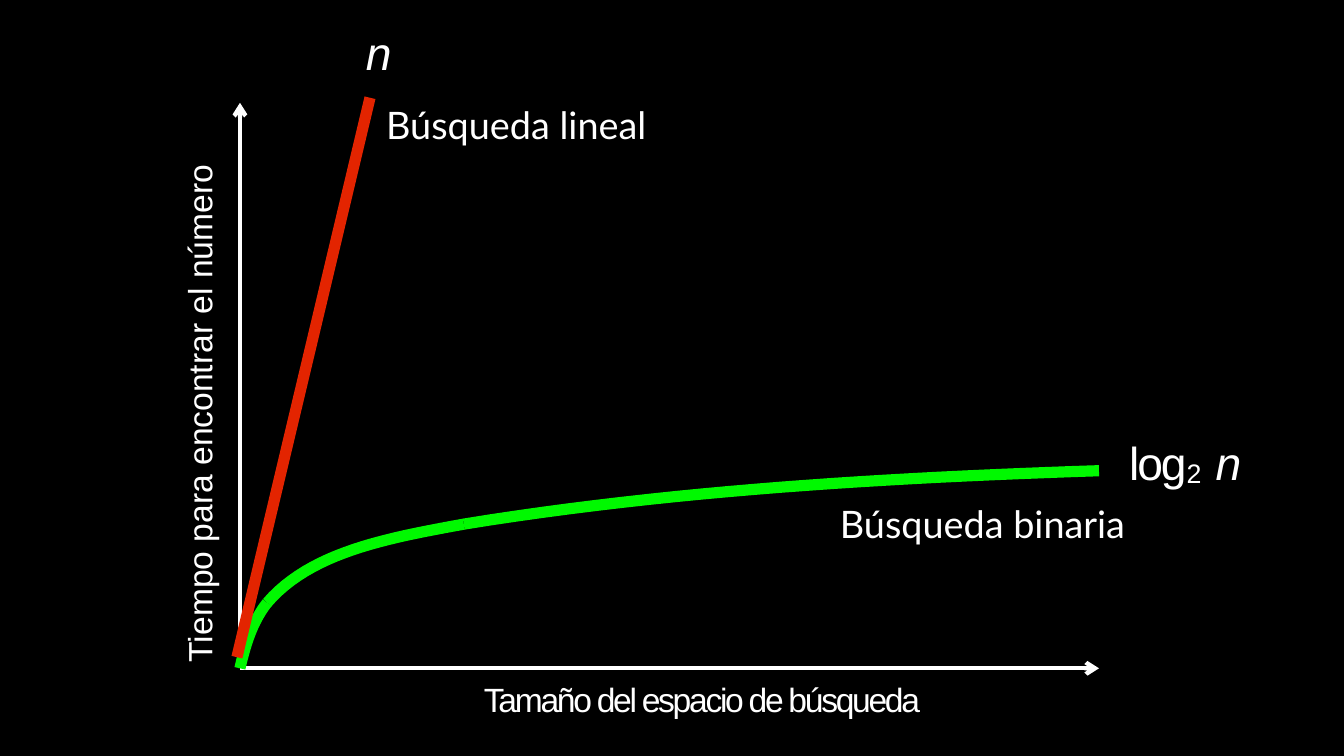
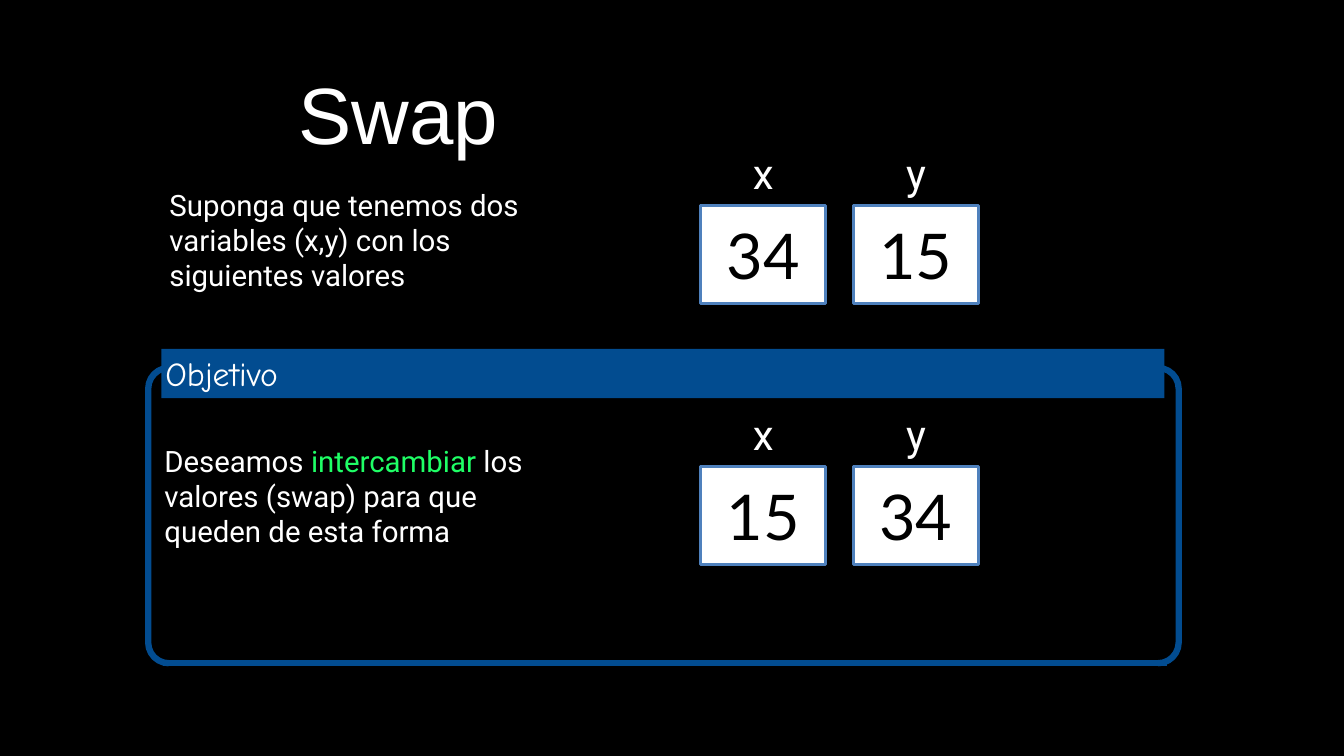
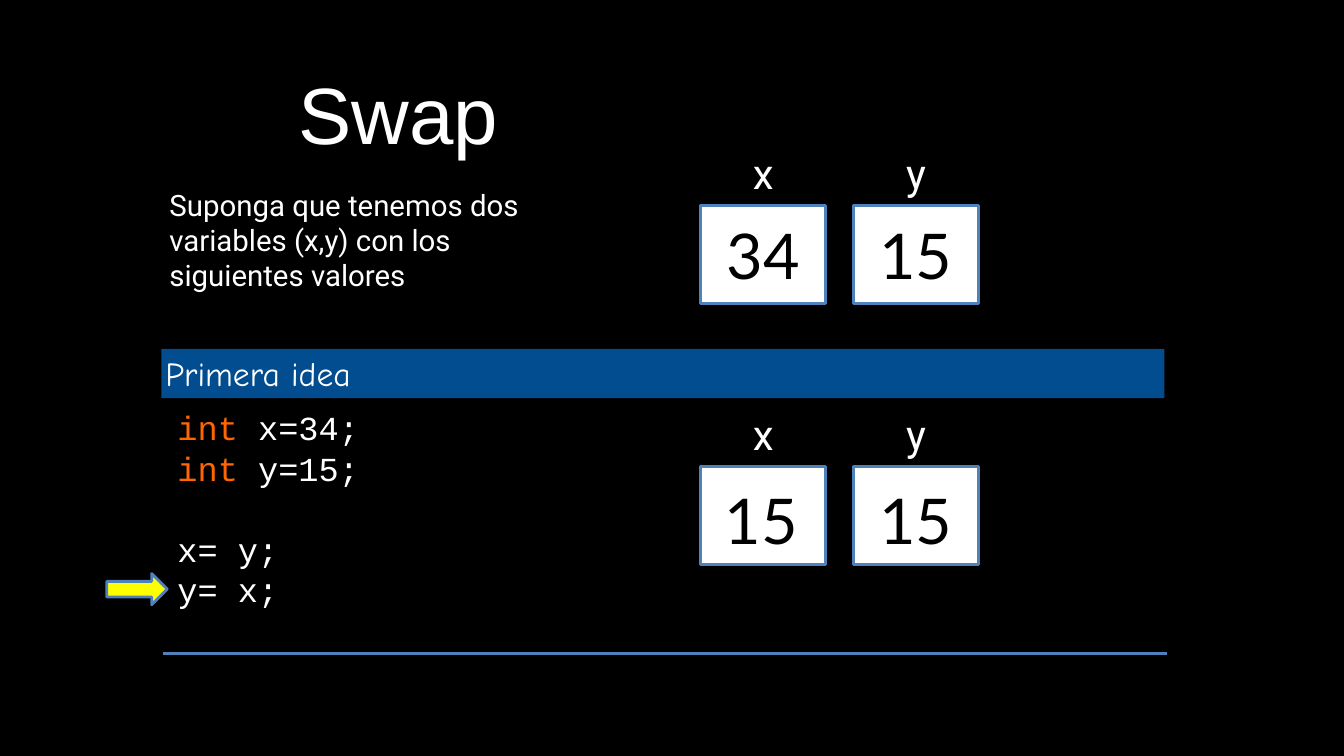
from pptx import Presentation
from pptx.dml.color import RGBColor
from pptx.enum.shapes import MSO_CONNECTOR, MSO_SHAPE
from pptx.enum.text import MSO_ANCHOR, MSO_AUTO_SIZE, PP_ALIGN
from pptx.oxml.ns import qn
from pptx.util import Inches, Pt

STRAIGHT = MSO_CONNECTOR.STRAIGHT
RECTANGLE, ARROW = MSO_SHAPE.RECTANGLE, MSO_SHAPE.RIGHT_ARROW
BRACKETS = MSO_SHAPE.DOUBLE_BRACKET
TOP, MIDDLE = MSO_ANCHOR.TOP, MSO_ANCHOR.MIDDLE
LEFT, CENTER = PP_ALIGN.LEFT, PP_ALIGN.CENTER
TITLE_ONLY, BLANK = 5, 6

BLACK, WHITE = "000000", "FFFFFF"
NAVY, BLUE = "024C90", "4F81BD"
RED, GREEN, YELLOW = "E32400", "00F900", "FFFF00"
HIGHLIGHT, KEYWORD = "1FFF66", "FF6600"

# Grid of square cells, 75 rows to the slide height
ROWS = 75
HEIGHT = Inches(7.5)
WIDTH = Inches(13.33)
CELL = HEIGHT / ROWS

VARIABLE_COLUMN, VARIABLE_STEP = 69.5, 15.15
VARIABLE_WIDTH, VARIABLE_HEIGHT = 12.4, 9.7
START_ROW, RESULT_ROW = 20.4, 46.3
CODE_LEADING = 29


def cells(*counts):
    return [round(count * CELL) for count in counts]


def color(hex_string):
    return RGBColor.from_string(hex_string)


def style_line(line, hex_string, width):
    line.color.rgb = color(hex_string)
    line.width = Pt(width)


def add_span(para, text, hex_string=None, italic=None, tracking=None, baseline=None):
    """Add a run; tracking is in points, baseline in percent."""
    span = para.add_run()
    span.text = text
    if hex_string:
        span.font.color.rgb = color(hex_string)
    if italic:
        span.font.italic = True
    properties = span._r.get_or_add_rPr()
    if tracking:
        properties.set("spc", str(round(tracking * 100)))
    if baseline:
        properties.set("baseline", str(baseline * 1000))


def write(shape, paras, font, size, hex_string=WHITE, align=LEFT,
          anchor=MIDDLE, inset=0.4, wrap=True):
    """Fill a shape with paragraphs, each a list of add_span arguments."""
    frame = shape.text_frame
    frame.word_wrap = wrap
    frame.auto_size = MSO_AUTO_SIZE.NONE
    frame.vertical_anchor = anchor
    (frame.margin_left, frame.margin_top,
     frame.margin_right, frame.margin_bottom) = cells(*[inset] * 4)
    for index, spans in enumerate(paras):
        para = frame.add_paragraph() if index else frame.paragraphs[0]
        para.alignment = align
        para.font.name = font
        para.font.size = Pt(size)
        para.font.color.rgb = color(hex_string)
        for span in spans:
            add_span(para, *span)


def add_text(page, at, paras, font, size, **options):
    box = page.shapes.add_textbox(*cells(*at))
    write(box, paras, font, size, **options)
    return box


def add_shape(page, kind, at, fill=None, line=None, line_width=2):
    shape = page.shapes.add_shape(kind, *cells(*at))
    shape.shadow.inherit = False
    if fill:
        shape.fill.solid()
        shape.fill.fore_color.rgb = color(fill)
    else:
        shape.fill.background()
    if line:
        style_line(shape.line, line, line_width)
    else:
        shape.line.fill.background()
    return shape


def add_line(page, start, end, hex_string, width, arrow=False):
    connector = page.shapes.add_connector(STRAIGHT, *cells(*start, *end))
    style_line(connector.line, hex_string, width)
    properties = connector._element.spPr
    if arrow:
        outline = properties.find(qn("a:ln"))
        outline.append(outline.makeelement(qn("a:tailEnd"), {"type": "arrow"}))
    properties.append(properties.makeelement(qn("a:effectLst"), {}))


def bezier(points, steps=24):
    """Sample a cubic curve, without its first point."""
    for step in range(1, steps + 1):
        t = step / steps
        weights = ((1 - t) ** 3, 3 * t * (1 - t) ** 2, 3 * t * t * (1 - t), t ** 3)
        yield tuple(sum(w * point[axis] for w, point in zip(weights, points))
                    for axis in (0, 1))


def add_arc(page, points, hex_string, width):
    """Draw a cubic curve from its start, two control points and end."""
    builder = page.shapes.build_freeform(*cells(*points[0]))
    builder.add_line_segments([cells(*point) for point in bezier(points)], close=False)
    arc = builder.convert_to_shape()
    arc.fill.background()
    arc.shadow.inherit = False
    style_line(arc.line, hex_string, width)


def add_variables(page, row, values=()):
    """Add the named boxes x and y, with their values if given."""
    for index, name in enumerate("xy"):
        column = VARIABLE_COLUMN + index * VARIABLE_STEP
        add_text(page, (column + 1.2, row - 6.2, 10, 5.9), [[(name,)]],
                 "Roboto", 30, align=CENTER)
        box = add_shape(page, RECTANGLE, (column, row, VARIABLE_WIDTH, VARIABLE_HEIGHT),
                        WHITE, BLUE)
        if values:
            write(box, [[(values[index],)]], "Lato", 45, BLACK, align=CENTER)


def add_band(page, heading):
    band = add_shape(page, RECTANGLE, (16, 34.6, 99.5, 4.9), NAVY)
    write(band, [[(heading,)]], "Comic Neue", 24)


def add_swap_page(deck):
    """Add a page with the title and the starting values."""
    page = deck.slides.add_slide(deck.slide_layouts[TITLE_ONLY])
    title = page.shapes.title
    title.left, title.top, title.width, title.height = cells(29.6, 6.4, 74.1, 9.8)
    write(title, [[("Swap",)]], "Arial", 57, anchor=TOP, inset=0)
    add_text(page, (16.4, 18.1, 41.7, 11.4),
             [[("Suponga que tenemos dos variables (x,y) con los siguientes valores",)]],
             "Roboto", 21)
    add_variables(page, START_ROW, ("34", "15"))
    return page


def build_growth_page(deck):
    page = deck.slides.add_slide(deck.slide_layouts[BLANK])
    origin, bend, shoulder = (23.8, 66.3), (26.5, 59.8), (46, 52)
    for tip in ((23.8, 10.2), (109, 66.3)):
        add_line(page, origin, tip, WHITE, 3, arrow=True)
    for arc in ((origin, (24.4, 63.7), (25.1, 61.6), bend),
                (bend, (30.8, 54.8), (38.3, 53.4), shoulder),
                (shoulder, (67, 48.6), (88, 47.4), (109, 46.7))):
        add_arc(page, arc, GREEN, 8)
    add_line(page, (23.5, 65.2), (36.7, 9.7), RED, 8)

    plain = {"anchor": TOP, "inset": 0, "wrap": False}
    variable = ("n", None, True, -2.9)
    add_text(page, (36.3, 2.4, 2.4, 5.6), [[variable]], "Arial", 33, **plain)
    add_text(page, (112, 43.1, 12.7, 5.6),
             [[("log", None, False, -1.5), ("2", None, False, -0.7, -6),
               (" ", None, False, 1), variable]],
             "Arial", 33, **plain)
    time_axis = add_text(page, (-8, 35.9, 56, 3.6),
                         [[("Tiempo para encontrar el número",)]], "Arial", 24, **plain)
    time_axis.rotation = 270
    time_axis.text_frame.paragraphs[0].line_spacing = Pt(25.5)
    add_text(page, (48, 67.4, 49.8, 4),
             [[("Tamaño del espacio de búsqueda", None, False, -1.63)]],
             "Arial", 24, **plain)
    for at, name in (((37.9, 9.6, 27.5, 5.4), "Búsqueda lineal"),
                     ((82.9, 49.2, 29.8, 5.4), "Búsqueda binaria")):
        add_text(page, at, [[(name,)]], "Lato", 27, wrap=False)


def build_goal_page(deck):
    page = add_swap_page(deck)
    add_text(page, (15.9, 43.5, 41.7, 11.4),
             [[("Deseamos ",), ("intercambiar", HIGHLIGHT),
               (" los valores (swap) para que queden de esta forma",)]],
             "Roboto", 21)
    add_variables(page, RESULT_ROW, ("15", "34"))
    frame = add_shape(page, BRACKETS, (14.7, 36.5, 102.2, 29.3), line=NAVY, line_width=4.5)
    frame.adjustments[0] = 0.07
    add_band(page, "Objetivo")
    add_line(page, (16.2, 65.8), (115.7, 65.8), NAVY, 4.5)


def build_first_idea_page(deck):
    page = add_swap_page(deck)
    add_band(page, "Primera idea")
    add_variables(page, RESULT_ROW)
    code = add_text(page, (17.2, 39.9, 33.2, 21),
                    [[("int ", KEYWORD), ("x=34;",)], [("int ", KEYWORD), ("y=15;",)],
                     [("x= y;",)], [("y= x;",)]], "Courier New", 24)
    lines = code.text_frame.paragraphs
    for para in lines:
        para.line_spacing = Pt(CODE_LEADING)
    lines[2].space_before = Pt(CODE_LEADING)
    add_line(page, (16.2, 64.8), (115.7, 64.8), BLUE, 2)
    add_shape(page, ARROW, (10.6, 56.9, 6, 3.1), YELLOW, BLUE)
    for column in (71.5, 86.8):
        value = add_shape(page, RECTANGLE, (column, 47.3, 8.5, 8.4), WHITE)
        write(value, [[("15",)]], "Lato", 45, BLACK)


def main():
    deck = Presentation()
    deck.slide_width, deck.slide_height = WIDTH, HEIGHT
    backdrop = deck.slide_master.background.fill
    backdrop.solid()
    backdrop.fore_color.rgb = color(BLACK)
    build_growth_page(deck)
    build_goal_page(deck)
    build_first_idea_page(deck)
    deck.save("out.pptx")


if __name__ == "__main__":
    main()
